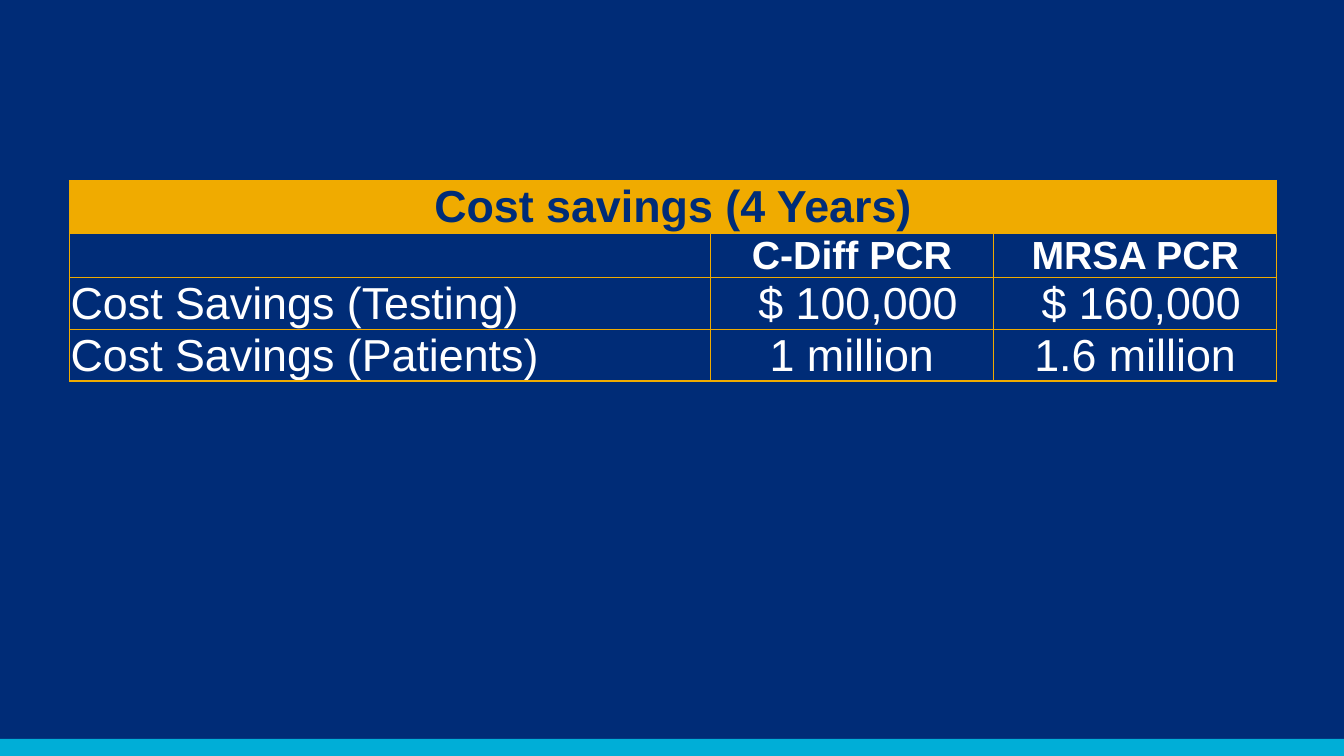
"""Build a slide with a table of four-year cost savings from PCR testing."""
from lxml.etree import SubElement
from pptx import Presentation
from pptx.dml.color import RGBColor
from pptx.enum.shapes import MSO_SHAPE
from pptx.enum.text import MSO_ANCHOR as Anchor, PP_ALIGN as Align
from pptx.oxml.ns import qn
from pptx.util import Cm, Pt

NAVY, CYAN, GOLD, WHITE = "002C77", "00AED7", "F0AB00", "FFFFFF"


def paint(fill, color):
    fill.solid()
    fill.fore_color.rgb = RGBColor.from_string(color)


def add_borders(cell, color):
    properties = cell._tc.get_or_add_tcPr()
    for side in ("lnL", "lnR", "lnT", "lnB"):
        line = SubElement(properties, qn(f"a:{side}"), w=str(Pt(1)))
        solid = SubElement(line, qn("a:solidFill"))
        SubElement(solid, qn("a:srgbClr"), val=color)


deck = Presentation()
deck.slide_width, deck.slide_height = Cm(33.87), Cm(19.05)
slide = deck.slides.add_slide(deck.slide_layouts[6])

for top, height, color in ((0, 18.62, NAVY), (18.62, 0.43, CYAN)):
    band = slide.shapes.add_shape(
        MSO_SHAPE.RECTANGLE, Cm(0), Cm(top), deck.slide_width, Cm(height))
    band.shadow.inherit = False
    band.line.fill.background()
    paint(band.fill, color)

savings_rows = [
    ["Cost savings (4 Years)", "", ""],
    ["", "C-Diff PCR", "MRSA PCR"],
    ["Cost Savings (Testing)", "$ 100,000", "$ 160,000"],
    ["Cost Savings (Patients)", "1 million", "1.6 million"],
]
row_formats = [
    {"size": Pt(32), "bold": True, "color": NAVY},
    {"size": Pt(28), "bold": True, "color": WHITE},
    {"size": Pt(32), "bold": False, "color": WHITE},
    {"size": Pt(32), "bold": False, "color": WHITE},
]
column_widths = [16.15, 7.14, 7.14]
row_heights = [1.32, 1.1, 1.3, 1.3]

savings = slide.shapes.add_table(
    len(row_heights), len(column_widths), Cm(1.75), Cm(4.55),
    Cm(sum(column_widths)), Cm(sum(row_heights))).table
savings.first_row = savings.horz_banding = False
for column, width in zip(savings.columns, column_widths):
    column.width = Cm(width)
for row, height in zip(savings.rows, row_heights):
    row.height = Cm(height)
savings.cell(0, 0).merge(savings.cell(0, 2))

for r, (labels, row_format) in enumerate(zip(savings_rows, row_formats)):
    for c, label in enumerate(labels):
        cell = savings.cell(r, c)
        is_row_label = r > 1 and c == 0
        cell_format = {
            "margin_left": Cm(0.34 if label.startswith("$") else 0.03),
            "margin_right": Cm(0.03),
            "margin_top": Cm(0.03),
            "margin_bottom": Cm(0),
            "vertical_anchor": Anchor.BOTTOM if is_row_label else Anchor.MIDDLE,
        }
        for name, value in cell_format.items():
            setattr(cell, name, value)
        add_borders(cell, GOLD)
        if r == 0:
            paint(cell.fill, GOLD)
        else:
            cell.fill.background()

        cell.text = label
        paragraph = cell.text_frame.paragraphs[0]
        paragraph.alignment = Align.LEFT if is_row_label else Align.CENTER
        paragraph.font.name = "Arial"
        for run in paragraph.runs:
            for name in ("size", "bold"):
                setattr(run.font, name, row_format[name])
            run.font.name = "Arial"
            paint(run.font.fill, row_format["color"])

deck.save("out.pptx")
